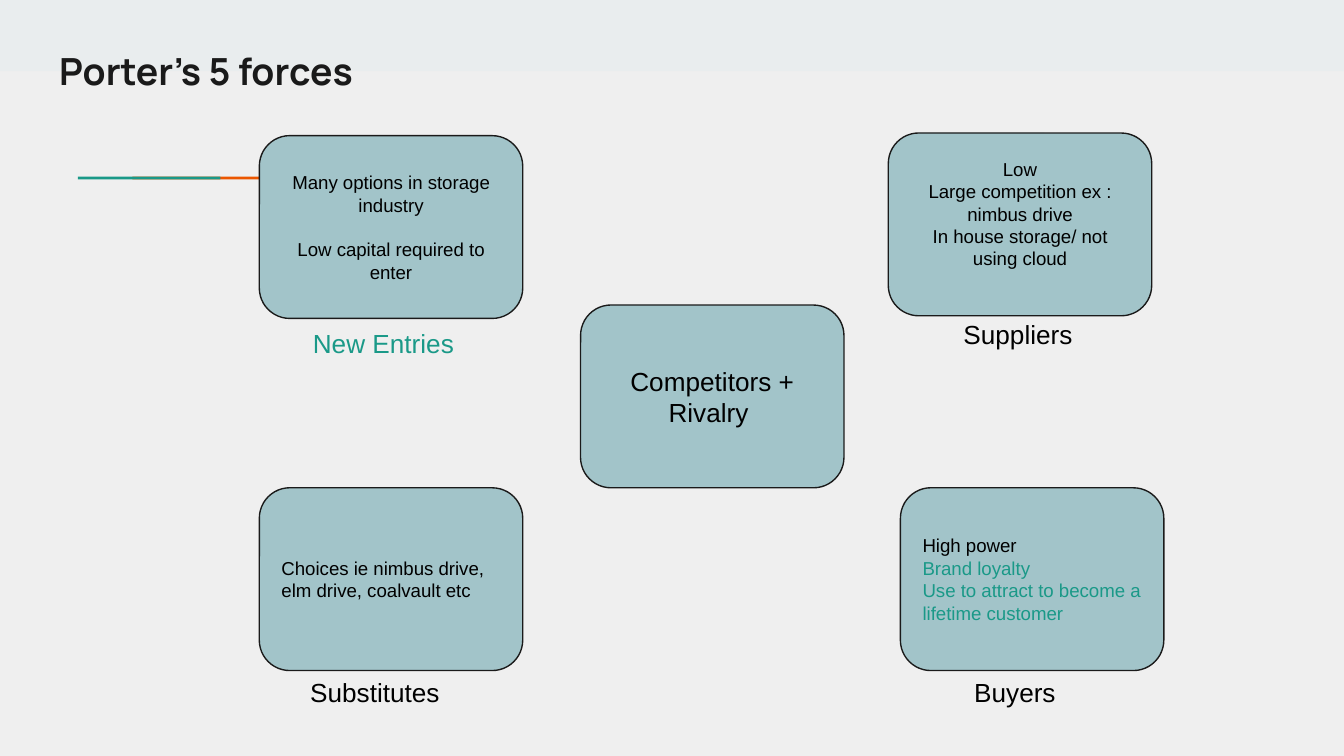
from dataclasses import dataclass

from pptx import Presentation
from pptx.dml.color import RGBColor
from pptx.enum.shapes import MSO_SHAPE
from pptx.enum.text import MSO_ANCHOR, MSO_AUTO_SIZE, PP_ALIGN
from pptx.util import Inches, Pt


@dataclass(frozen=True)
class Theme:
    """Colours, fonts, type sizes and paddings of the deck."""

    background: str = "EFEFEF"
    strip: str = "E9EDEE"
    card: str = "A2C4C9"
    ink: str = "1A1A1A"
    text: str = "000000"
    teal: str = "1A9988"
    orange: str = "EB5600"
    heading_font: str = "Manrope"
    body_font: str = "Arial"
    title_size: int = 20
    label_size: int = 14
    detail_size: int = 10
    outline: float = 0.75
    padding: float = 1


class ForcesSlide:
    """Draws on a grid of 100 columns by 56.25 rows, each cell a tenth of an inch."""

    CELL = Inches(0.1)
    COLUMNS, ROWS = 100, 56.25
    CARD_WIDTH, CARD_HEIGHT = 19.6, 13.6

    def __init__(self, deck, theme):
        """Size the deck and open a title-only slide."""
        self.theme = theme
        deck.slide_width, deck.slide_height = self.cells(self.COLUMNS, self.ROWS)
        self.slide = deck.slides.add_slide(deck.slide_layouts[5])
        self.paint(self.slide.background, theme.background)

    def cells(self, *counts):
        """Turn grid counts into lengths."""
        return [round(count * self.CELL) for count in counts]

    def paint(self, target, color):
        """Give a shape or background a solid fill."""
        target.fill.solid()
        target.fill.fore_color.rgb = RGBColor.from_string(color)

    def frame(self, shape, anchor=MSO_ANCHOR.TOP, bottom=0):
        """Set padding, wrapping and anchor of a shape's text."""
        frame = shape.text_frame
        frame.word_wrap = True
        frame.auto_size = MSO_AUTO_SIZE.NONE
        frame.vertical_anchor = anchor
        padding = self.theme.padding
        frame.margin_left, frame.margin_top, frame.margin_right, frame.margin_bottom = (
            self.cells(padding, padding, padding, padding + bottom)
        )
        return frame

    def style_run(self, paragraph, text, size, color, align=PP_ALIGN.LEFT, font=None, bold=False):
        """Add one styled run to a paragraph."""
        paragraph.alignment = align
        run = paragraph.add_run()
        run.text = text
        run.font.name = font or self.theme.body_font
        run.font.size = Pt(size)
        run.font.bold = bold
        run.font.color.rgb = RGBColor.from_string(color)

    def band(self, left, top, width, height, color):
        """Draw a plain filled rectangle."""
        bar = self.slide.shapes.add_shape(
            MSO_SHAPE.RECTANGLE, *self.cells(left, top, width, height)
        )
        bar.shadow.inherit = False
        self.paint(bar, color)
        bar.line.fill.background()

    def title(self, text, left, top, width, height):
        """Fill the title placeholder and bring it above the bands."""
        heading = self.slide.shapes.title
        heading.left, heading.top, heading.width, heading.height = self.cells(
            left, top, width, height
        )
        self.slide.shapes[-1].element.addnext(heading.element)
        theme = self.theme
        self.style_run(self.frame(heading).paragraphs[0], text, theme.title_size, theme.ink,
                       font=theme.heading_font, bold=True)

    def card(self, left, top, lines, size, align=PP_ALIGN.LEFT, gap=0, bottom=0):
        """Draw a rounded card with one paragraph per line and colour."""
        theme = self.theme
        box = self.slide.shapes.add_shape(
            MSO_SHAPE.ROUNDED_RECTANGLE,
            *self.cells(left, top, self.CARD_WIDTH, self.CARD_HEIGHT),
        )
        box.shadow.inherit = False
        self.paint(box, theme.card)
        box.line.color.rgb = RGBColor.from_string(theme.ink)
        box.line.width = Pt(theme.outline)
        frame = self.frame(box, MSO_ANCHOR.MIDDLE, bottom)
        for index, (text, color) in enumerate(lines):
            paragraph = frame.add_paragraph() if index else frame.paragraphs[0]
            paragraph.space_before = Pt(gap if index else 0)
            self.style_run(paragraph, text, size, color, align)

    def label(self, text, left, top, width, height, color):
        """Name a force below its card."""
        caption = self.slide.shapes.add_textbox(*self.cells(left, top, width, height))
        self.style_run(self.frame(caption).paragraphs[0], text, self.theme.label_size, color)


def main():
    """Build the five forces slide."""
    deck = Presentation()
    theme = Theme()
    forces = ForcesSlide(deck, theme)
    black, teal, small = theme.text, theme.teal, theme.detail_size
    center = PP_ALIGN.CENTER

    forces.band(0, 0, forces.COLUMNS, 5.3, theme.strip)
    for left, accent in ((9.85, theme.orange), (5.8, teal)):
        forces.band(left, 13.15, 10.6, 0.2, accent)
    forces.title("Porter’s 5 forces", 3.4, 2.6, 93.2, 4)

    forces.card(43.2, 22.7, [("Competitors + Rivalry ", black)], theme.label_size, center)
    forces.card(19.3, 36.3, [("Choices ie nimbus drive, elm drive, coalvault etc", black)], small)
    forces.card(67, 36.3, [
        ("High power", black),
        ("Brand loyalty", teal),
        ("Use to attract to become a lifetime customer", teal),
    ], small)
    forces.card(66.1, 9.9, [
        ("Low", black),
        ("Large competition ex : nimbus drive", black),
        ("In house storage/ not using cloud", black),
    ], small, center, bottom=1.6)
    forces.card(19.3, 10.1, [
        ("Many options in storage industry", black),
        ("Low capital required to enter", black),
    ], small, center, gap=12)

    for name, left, top, width, height, color in (
        ("New Entries", 22.3, 23.5, 15.3, 1.7, teal),
        ("Suppliers", 70.7, 22.7, 13.5, 2.9, black),
        ("Buyers", 71.5, 49.3, 13.5, 2.9, black),
        ("Substitutes", 22.1, 49.3, 14, 2.3, black),
    ):
        forces.label(name, left, top, width, height, color)

    deck.save("out.pptx")


if __name__ == "__main__":
    main()
